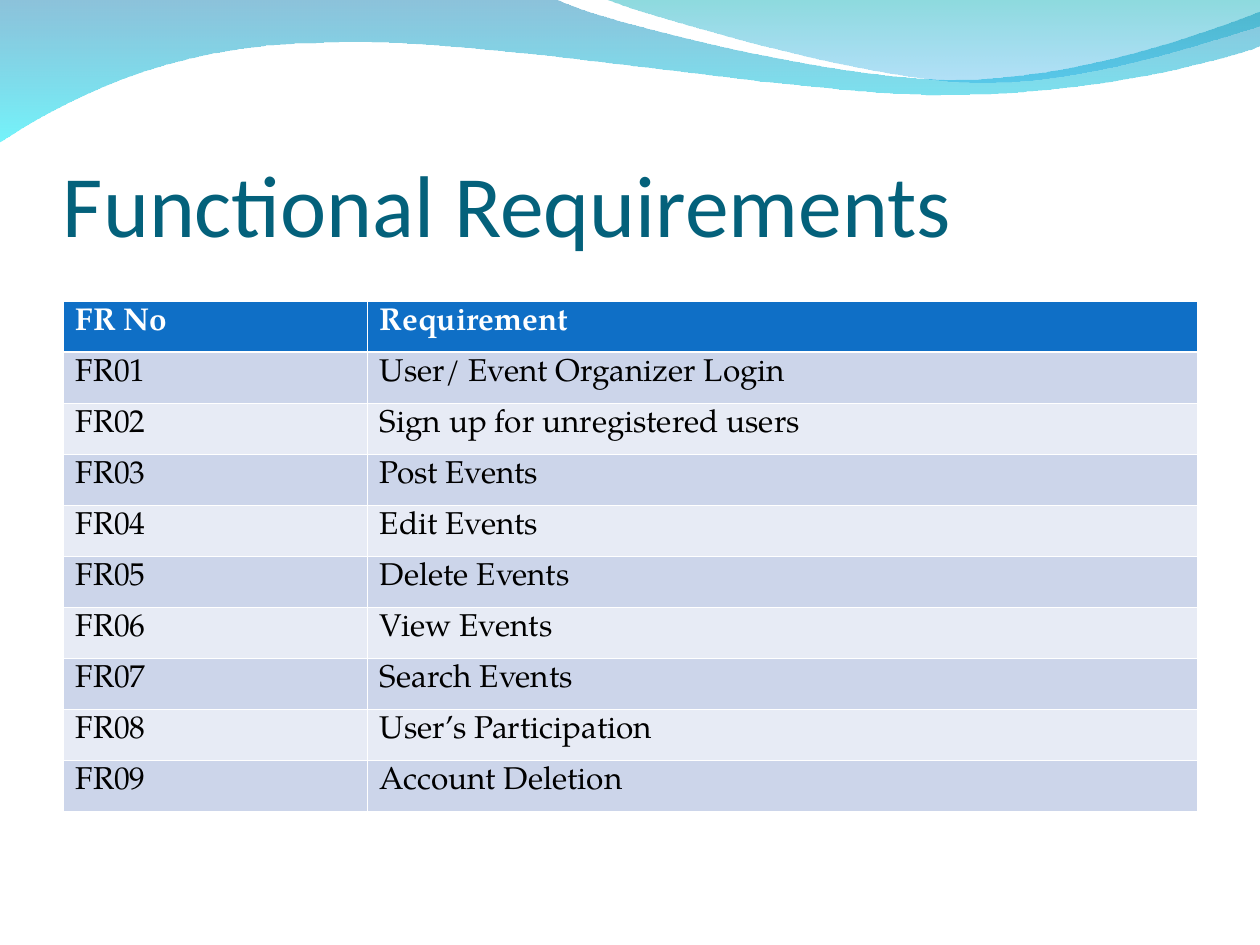
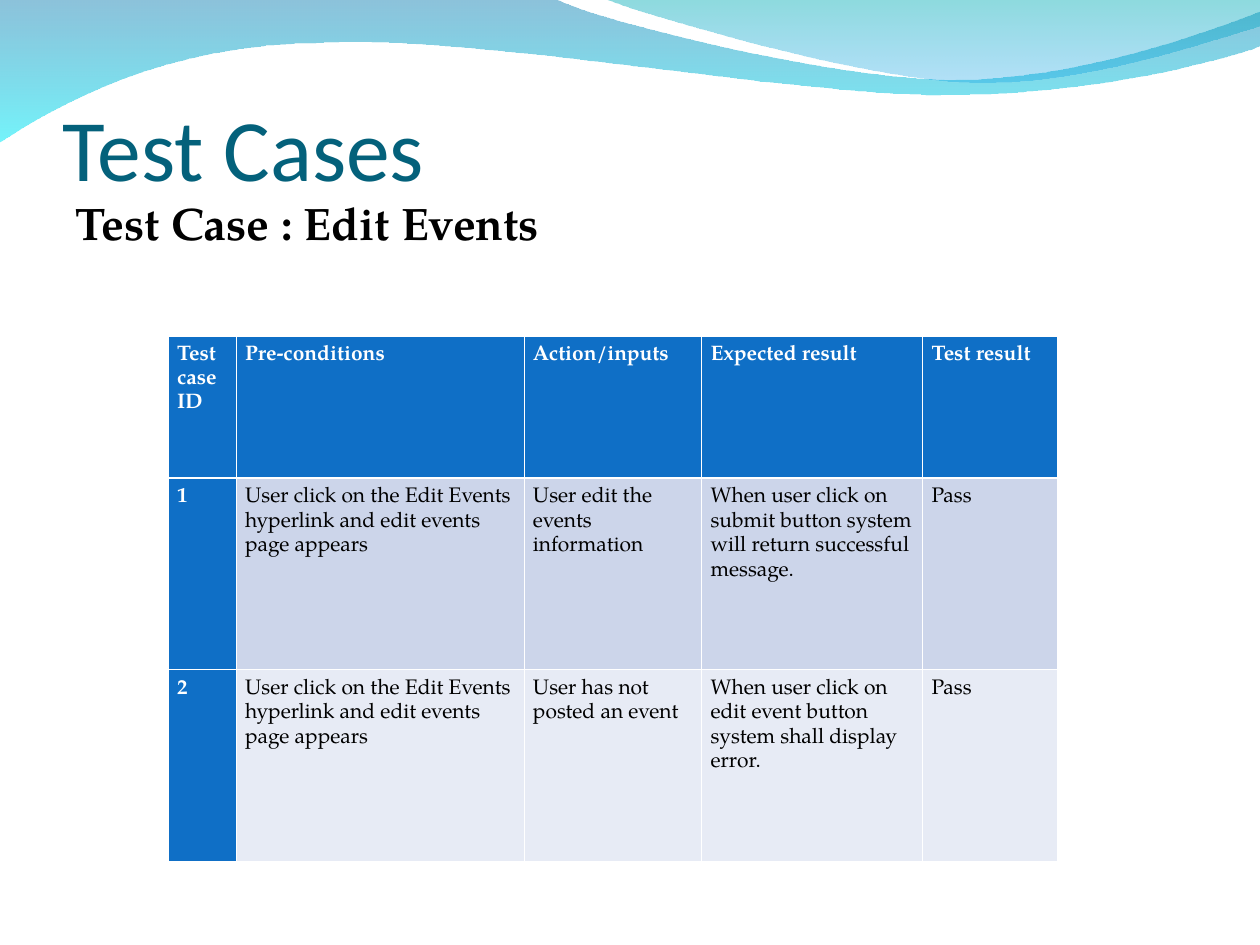
from collections import namedtuple
from lxml.etree import Element, SubElement
from pptx import Presentation
from pptx.dml.color import RGBColor
from pptx.enum.text import MSO_ANCHOR as Anchor
from pptx.oxml.ns import qn
from pptx.util import Inches, Pt

Box = namedtuple("Box", "left top width height")
PAGE_WIDTH, PAGE_HEIGHT = Inches(10), Inches(7.5)
COLUMN, ROW = PAGE_WIDTH // 100, PAGE_HEIGHT // 75

TITLE_FONT, BODY_FONT = "Calibri", "TeX Gyre Pagella"
WHITE = RGBColor(0xFF, 0xFF, 0xFF)
BLACK = RGBColor(0x00, 0x00, 0x00)
TITLE_TEAL = RGBColor(0x04, 0x61, 0x7B)
HEADER_BLUE = RGBColor(0x0F, 0x6F, 0xC6)
BANDS = RGBColor(0xCC, 0xD5, 0xEA), RGBColor(0xE7, 0xEB, 0xF5)
WAVE_BLUE = RGBColor(0x00, 0x79, 0xAF)
WAVE_CYAN = RGBColor(0x00, 0xEB, 0xF8)
CREST_TEAL = RGBColor(0x00, 0xAD, 0xB6)
CREST_BLUE = RGBColor(0x00, 0x9B, 0xE5)
THIN, THICK = Pt(0.45), Pt(1.47)

WAVE_BOX = Box(-0.1, -0.1, 100.2, 11.4)
WAVE_PATH = [
    [(0.1, 0)],
    [(44.1, 0)],
    [(47.7, 1.8), (66.5, 6.4), (75.9, 6.4)],
    [(85.4, 6.4), (95.9, 2.7), (100.1, 1)],
    [(100.2, 3.7)],
    [(98.4, 4.5), (87.1, 7.7), (74.7, 7.6)],
    [(62.3, 7.6), (38.3, 2.9), (25.8, 3.5)],
    [(13, 3.6), (4.7, 8.4), (0, 11.4)],
]
CREST_BOX = Box(47.9, -0.1, 52.1, 7)
CREST_PATH = [
    [(0, 0)],
    [(3, 1.2), (20.3, 6.3), (29, 6.6)],
    [(37.7, 7), (48.2, 3.3), (52.1, 2.2)],
    [(52.1, 0.1)],
]

REQUIREMENTS = [
    "User/ Event Organizer Login",
    "Sign up for unregistered users",
    "Post Events",
    "Edit Events",
    "Delete Events",
    "View Events",
    "Search Events",
    "User’s Participation",
    "Account Deletion",
]
EDIT_PAGE_OPEN = "User click on the Edit Events hyperlink and edit events page appears"
TEST_CASES = [
    ("Test\ncase\nID", "Pre-conditions", "Action/inputs", "Expected result", "Test result"),
    ("1", EDIT_PAGE_OPEN, "User edit the events information",
     "When user click on submit button system will return successful message.", "Pass"),
    ("2", EDIT_PAGE_OPEN, "User has not posted an event",
     "When user click on edit event button system shall display error.", "Pass"),
]


def place(box):
    return (round(box.left * COLUMN), round(box.top * ROW),
            round(box.width * COLUMN), round(box.height * ROW))


def bend(shape, pieces):
    segments = list(shape._element.spPr.iter(qn("a:lnTo")))
    for segment, piece in zip(segments, pieces):
        if len(piece) == 3:
            segment.tag = qn("a:cubicBezTo")
            for index, (x, y) in enumerate(piece[:2]):
                handle = Element(qn("a:pt"), x=str(x - shape.left), y=str(y - shape.top))
                segment.insert(index, handle)


def add_wave(page, box, path, stops):
    pieces = [[(round((box.left + x) * COLUMN), round((box.top + y) * ROW)) for x, y in piece]
              for piece in path]
    builder = page.shapes.build_freeform(*pieces[0][0])
    builder.add_line_segments([piece[-1] for piece in pieces[1:]], close=True)
    wave = builder.convert_to_shape()
    bend(wave, pieces[1:])
    wave.shadow.inherit = False
    wave.line.fill.background()
    wave.fill.gradient()
    wave.fill.gradient_angle = 270
    for stop, position, (color, _) in zip(wave.fill.gradient_stops, (0, 1), stops):
        stop.position = position
        stop.color.rgb = color
    for color_node, (_, opacity) in zip(wave._element.spPr.iter(qn("a:srgbClr")), stops):
        SubElement(color_node, qn("a:alpha"), val=str(opacity * 1000))


def write(para, text, font, size, color, bold=False):
    span = para.add_run()
    span.text = text
    span.font.name = font
    span.font.size = Pt(size)
    span.font.bold = bold
    span.font.color.rgb = color


def add_text(page, box, text, font, size, color, bold=False, anchor=Anchor.TOP, inset=0.1):
    frame = page.shapes.add_textbox(*place(box)).text_frame
    frame.word_wrap = True
    frame.vertical_anchor = anchor
    frame.margin_left = frame.margin_right = Inches(inset)
    frame.margin_bottom = Inches(inset / 2)
    write(frame.paragraphs[0], text, font, size, color, bold)


def set_border(cell, side, width):
    line = SubElement(cell._tc.get_or_add_tcPr(), qn(f"a:ln{side}"), w=str(int(width)))
    fill = SubElement(line, qn("a:solidFill"))
    SubElement(fill, qn("a:srgbClr"), val=str(WHITE))


def style_cell(cell, text, size, row, is_heading, inset, spacing):
    cell.margin_left = cell.margin_right = Pt(inset)
    cell.margin_top = cell.margin_bottom = Inches(0.05)
    for side in "LRTB":
        is_divider = (row, side) in ((0, "B"), (1, "T"))
        set_border(cell, side, THICK if is_divider else THIN)
    cell.fill.solid()
    cell.fill.fore_color.rgb = HEADER_BLUE if is_heading else BANDS[(row - 1) % 2]
    frame = cell.text_frame
    for index, words in enumerate(text.split("\n")):
        para = frame.add_paragraph() if index else frame.paragraphs[0]
        para.line_spacing = spacing
        write(para, words, BODY_FONT, size, WHITE if is_heading else BLACK, is_heading)


def add_grid(page, box, rows, widths, heights, size, inset=7.2, spacing=1.0, lead_column=False):
    table = page.shapes.add_table(len(rows), len(widths), *place(box)).table
    table.first_col = lead_column
    for column, share in zip(table.columns, widths):
        column.width = round(box.width * COLUMN * share / sum(widths))
    for line, share in zip(table.rows, heights):
        line.height = round(box.height * ROW * share / sum(heights))
    for r, texts in enumerate(rows):
        for c, text in enumerate(texts):
            is_heading = r == 0 or (lead_column and c == 0)
            style_cell(table.cell(r, c), text, size, r, is_heading, inset, spacing)


def add_page(deck, title, title_box):
    page = deck.slides.add_slide(deck.slide_layouts[6])
    add_wave(page, WAVE_BOX, WAVE_PATH, [(WAVE_BLUE, 45), (WAVE_CYAN, 55)])
    add_wave(page, CREST_BOX, CREST_PATH, [(CREST_TEAL, 45), (CREST_BLUE, 30)])
    add_text(page, title_box, title, TITLE_FONT, 50, TITLE_TEAL, anchor=Anchor.BOTTOM, inset=0)
    return page


def add_requirements_page(deck):
    page = add_page(deck, "Functional Requirements", Box(5, 7.7, 90, 12.5))
    rows = [("FR No", "Requirement")]
    rows += [(f"FR{number:02}", text) for number, text in enumerate(REQUIREMENTS, 1)]
    add_grid(page, Box(5, 23.9, 90, 40.5), rows, (24.15, 65.85), [1] * len(rows), 18)


def add_test_cases_page(deck):
    page = add_page(deck, "Test Cases", Box(5, 7.7, 90, 8.1))
    add_text(page, Box(5, 15, 90, 54.2), "Test Case : Edit Events", BODY_FONT, 26, BLACK, bold=True)
    add_grid(page, Box(13.35, 26.7, 70.6, 41.65), TEST_CASES, (5.4, 22.85, 14.1, 17.55, 10.7),
             (11.25, 15.2, 15.2), 12, inset=5.1, spacing=1.15, lead_column=True)


def main():
    deck = Presentation()
    deck.slide_width, deck.slide_height = PAGE_WIDTH, PAGE_HEIGHT
    add_requirements_page(deck)
    add_test_cases_page(deck)
    deck.save("out.pptx")


if __name__ == "__main__":
    main()
